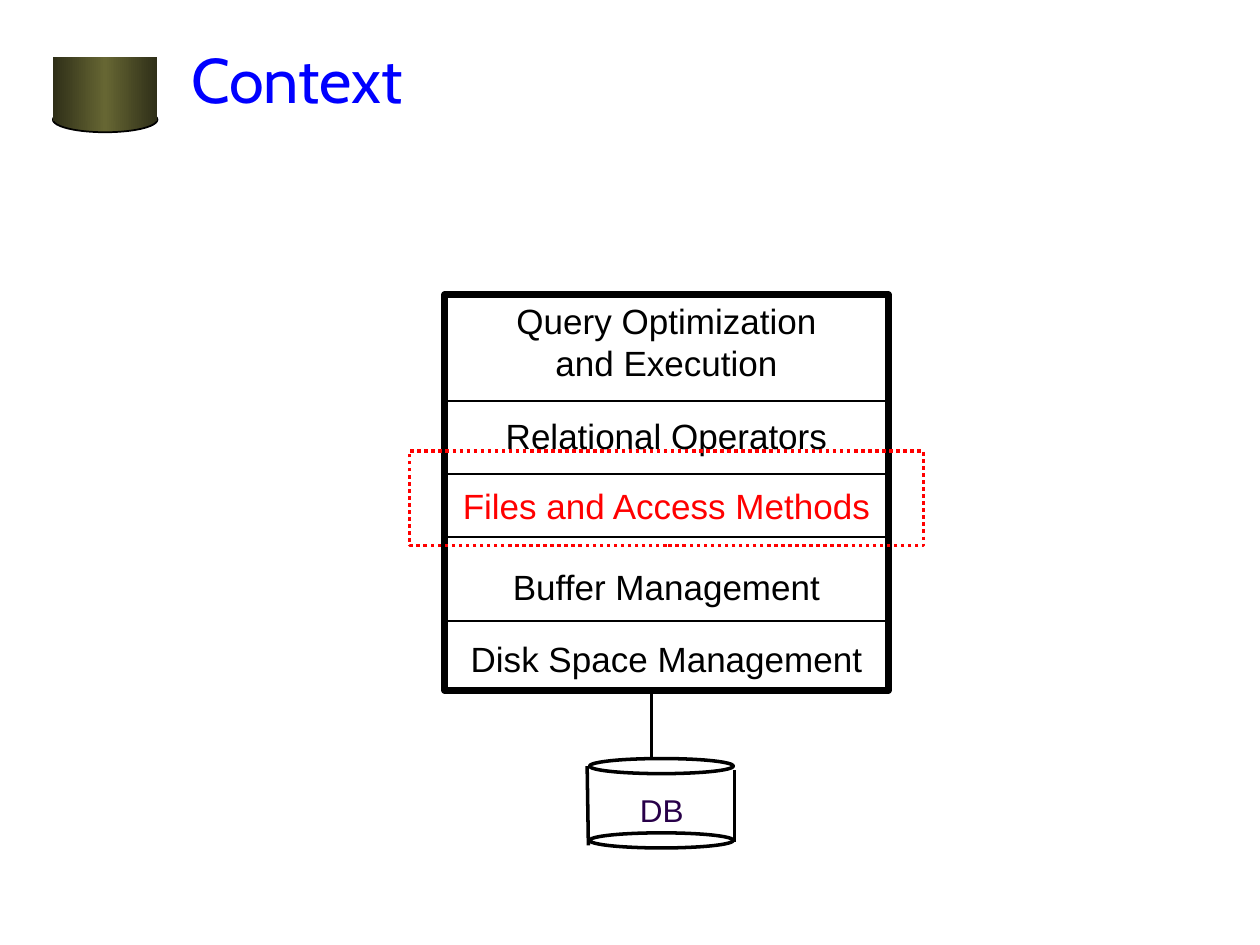
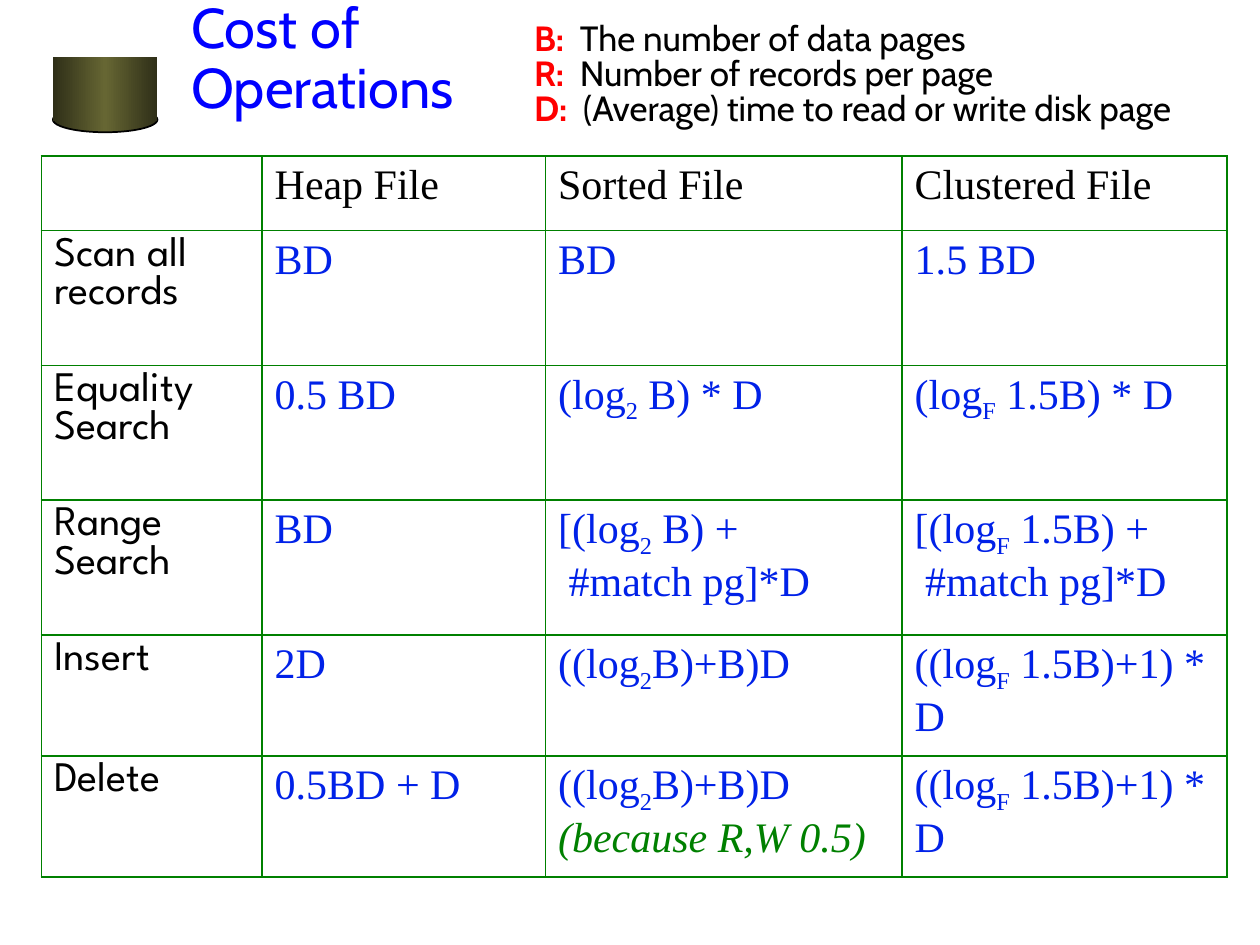
from copy import deepcopy

from pptx import Presentation
from pptx.dml.color import RGBColor
from pptx.enum.dml import MSO_LINE
from pptx.enum.shapes import MSO_CONNECTOR, MSO_SHAPE
from pptx.enum.text import MSO_ANCHOR, PP_ALIGN
from pptx.oxml.ns import qn
from pptx.util import Inches, Pt
from lxml import etree

BLACK = RGBColor(0x00, 0x00, 0x00)
WHITE = RGBColor(0xFF, 0xFF, 0xFF)
RED = RGBColor(0xFF, 0x00, 0x00)
BLUE = RGBColor(0x00, 0x00, 0xFF)
INK = RGBColor(0x00, 0x21, 0xE8)
GREEN = RGBColor(0x00, 0x80, 0x00)
PURPLE = RGBColor(0x28, 0x00, 0x49)
OLIVE = RGBColor(0x66, 0x66, 0x33)
DARK = RGBColor(0x2F, 0x2F, 0x18)

RECT, OVAL = MSO_SHAPE.RECTANGLE, MSO_SHAPE.OVAL
STRAIGHT = MSO_CONNECTOR.STRAIGHT
DOTS = MSO_LINE.ROUND_DOT
LEFT, CENTER = PP_ALIGN.LEFT, PP_ALIGN.CENTER
TOP, MIDDLE = MSO_ANCHOR.TOP, MSO_ANCHOR.MIDDLE

SANS, HEAD, LABEL, SERIF = "Arial", "Cabin", "League Spartan", "Times New Roman"

LAYERS = [
    ("Query Optimization\nand Execution", 2.33, BLACK),
    ("Relational Operators", 3.24, BLACK),
    ("Files and Access Methods", 3.8, RED),
    ("Buffer Management", 4.44, BLACK),
    ("Disk Space Management", 5.01, BLACK),
]
RULES = [3.18, 3.76, 4.26, 4.93]

LEGEND = [
    ("B:  ", "The number of data pages"),
    ("R:  ", "Number of records per page"),
    ("D:  ", "(Average) time to read or write disk page"),
]

# "_" lowers the next character; "|" starts a green remark.
COSTS = [
    ["", "Heap File", "Sorted File", "Clustered File"],
    ["Scan all records", "BD", "BD", "1.5 BD"],
    ["Equality Search", "0.5 BD", "(log_2 B) * D", "(log_F 1.5B) * D"],
    ["Range Search", "BD", "[(log_2 B) +\n #match pg]*D",
     "[(log_F 1.5B) +\n #match pg]*D"],
    ["Insert", "2D", "((log_2B)+B)D", "((log_F 1.5B)+1) * D"],
    ["Delete", "0.5BD + D", "((log_2B)+B)D |(because R,W 0.5)",
     "((log_F 1.5B)+1) * D"],
]
WIDTHS = [1.75, 2.25, 2.83, 2.58]
HEIGHTS = [0.59, 1.07, 1.07, 1.07, 0.96, 0.96]


def style(font, name, size, color, bold=False, italic=False):
    font.name, font.size = name, Pt(size)
    font.color.rgb = color
    font.bold, font.italic = bold, italic


class Deck:
    def __init__(self):
        self.prs = Presentation()
        self.prs.slide_width, self.prs.slide_height = Inches(10), Inches(7.5)
        self.slide = None

    def page(self, title, width, height, size, pitch=1.0):
        """Start a slide with the drum emblem and its title."""
        self.slide = self.prs.slides.add_slide(self.prs.slide_layouts[6])
        self.glow(self.shape(OVAL, 0.42, 0.85, 0.83, 0.2, BLACK, 1))
        self.glow(self.shape(RECT, 0.42, 0.45, 0.83, 0.51))
        frame = self.text(title, 1.42, 0, width, height, HEAD, size, BLUE,
                          anchor=MIDDLE)
        frame.paragraphs[0].line_spacing = pitch

    def shape(self, kind, x, y, w, h, color=None, weight=1, dash=None):
        item = self.slide.shapes.add_shape(
            kind, Inches(x), Inches(y), Inches(w), Inches(h))
        item.shadow.inherit = False
        item.fill.background()
        if color is None:
            item.line.fill.background()
        else:
            item.line.color.rgb, item.line.width = color, Pt(weight)
            if dash:
                item.line.dash_style = dash
        return item

    def glow(self, item):
        """Shade a shape from dark edges to an olive middle."""
        item.fill.gradient()
        item.fill.gradient_angle = 0
        stops = item._element.spPr.find(".//" + qn("a:gsLst"))
        stops.append(deepcopy(stops[0]))
        shades = [(0, DARK), (0.5, OLIVE), (1, DARK)]
        for stop, (place, color) in zip(item.fill.gradient_stops, shades):
            stop.position = place
            stop.color.rgb = color

    def line(self, x1, y1, x2, y2, weight):
        item = self.slide.shapes.add_connector(
            STRAIGHT, Inches(x1), Inches(y1), Inches(x2), Inches(y2))
        item.line.color.rgb, item.line.width = BLACK, Pt(weight)
        etree.SubElement(item._element.spPr, qn("a:effectLst"))

    def text(self, words, x, y, w, h, name, size, color,
             align=LEFT, anchor=TOP):
        box = self.slide.shapes.add_textbox(
            Inches(x), Inches(y), Inches(w), Inches(h))
        frame = box.text_frame
        frame.word_wrap = True
        frame.vertical_anchor = anchor
        frame.text = words
        for para in frame.paragraphs:
            para.alignment = align
            for run in para.runs:
                style(run.font, name, size, color)
        return frame

    def legend(self, rows, x, y, w, h):
        frame = self.text("\n".join(key for key, _ in rows),
                          x, y, w, h, HEAD, 20, RED)
        for para, (_, words) in zip(frame.paragraphs, rows):
            para.line_spacing = para.space_before = Pt(10)
            para.runs[0].font.bold = True
            run = para.add_run()
            run.text = words
            style(run.font, HEAD, 20, BLACK)

    def table(self, rows, x, y, widths, heights):
        grid = self.slide.shapes.add_table(
            len(rows), len(widths), Inches(x), Inches(y),
            Inches(sum(widths)), Inches(sum(heights))).table
        for col, width in zip(grid.columns, widths):
            col.width = Inches(width)
        for row, height in zip(grid.rows, heights):
            row.height = Inches(height)
        for r, row in enumerate(rows):
            for c, words in enumerate(row):
                cell = grid.cell(r, c)
                self.border(cell)
                cell.fill.solid()
                cell.fill.fore_color.rgb = WHITE
                name = SERIF if c or not r else LABEL
                self.formula(cell.text_frame.paragraphs[0], words, name,
                             INK if r and c else BLACK)

    def border(self, cell):
        props = cell._tc.get_or_add_tcPr()
        for side in ("lnL", "lnR", "lnT", "lnB"):
            edge = etree.SubElement(props, qn("a:" + side), w=str(Pt(1.08)))
            fill = etree.SubElement(edge, qn("a:solidFill"))
            etree.SubElement(fill, qn("a:srgbClr"), val=str(GREEN))

    def formula(self, para, words, name, color):
        """Write a cell's text, with its subscripts and green remark."""
        def add(part, tint=color, italic=False, low=False):
            for i, piece in enumerate(part.split("\n")):
                if i:
                    para.add_line_break()
                if piece:
                    run = para.add_run()
                    run.text = piece
                    style(run.font, name, 24, tint, italic=italic)
                    if low:
                        run.font._element.set("baseline", "-25000")

        main, _, note = words.partition("|")
        first, *rest = main.split("_")
        add(first)
        for part in rest:
            add(part[0], low=True)
            add(part[1:])
        add(note, GREEN, italic=True)


def context(deck):
    deck.page("Context", 7.83, 1.25, 36)
    for words, top, color in LAYERS:
        height = 0.43 + 0.34 * words.count("\n")
        deck.text(words, 3.53, top, 3.52, height, SANS, 20, color, CENTER)
    deck.shape(RECT, 3.53, 2.34, 3.52, 3.14, BLACK, 4)
    for y in RULES:
        deck.line(3.5, y, 7.08, y, 1)
    for y in (6.02, 6.61):
        deck.shape(OVAL, 4.68, y, 1.14, 0.12, BLACK, 2)
    deck.line(4.66, 6.08, 4.67, 6.71, 2)
    deck.line(5.83, 6.11, 5.83, 6.68, 2)
    deck.text("DB", 4.98, 6.23, 0.6, 0.4, SANS, 18, PURPLE)
    deck.line(5.17, 5.51, 5.17, 6.01, 2)
    deck.shape(RECT, 3.25, 3.58, 4.08, 0.75, RED, 2, DOTS)


def costs(deck):
    deck.page("Cost of Operations", 2.84, 0.96, 32, 0.9)
    deck.legend(LEGEND, 4.14, 0.28, 5.7, 1.07)
    deck.table(COSTS, 0.33, 1.24, WIDTHS, HEIGHTS)


def main():
    deck = Deck()
    context(deck)
    costs(deck)
    deck.prs.save("out.pptx")


if __name__ == "__main__":
    main()
